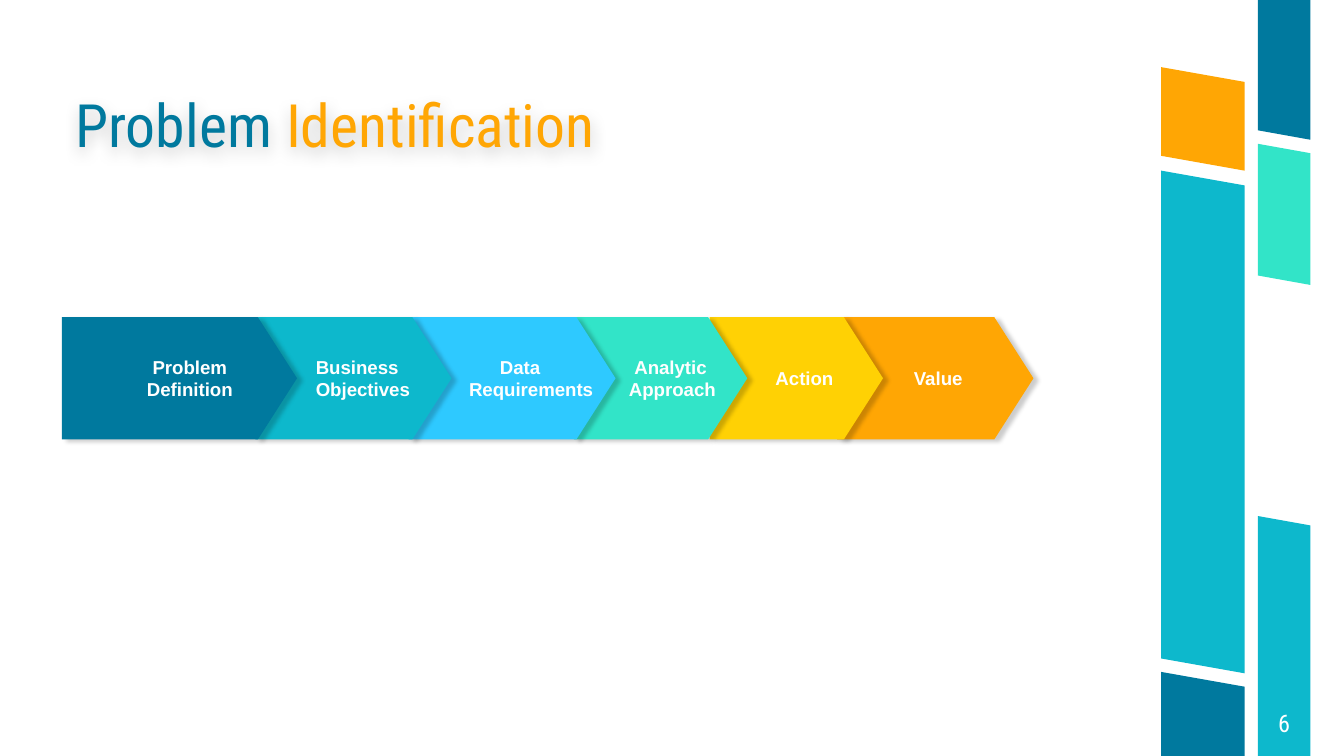
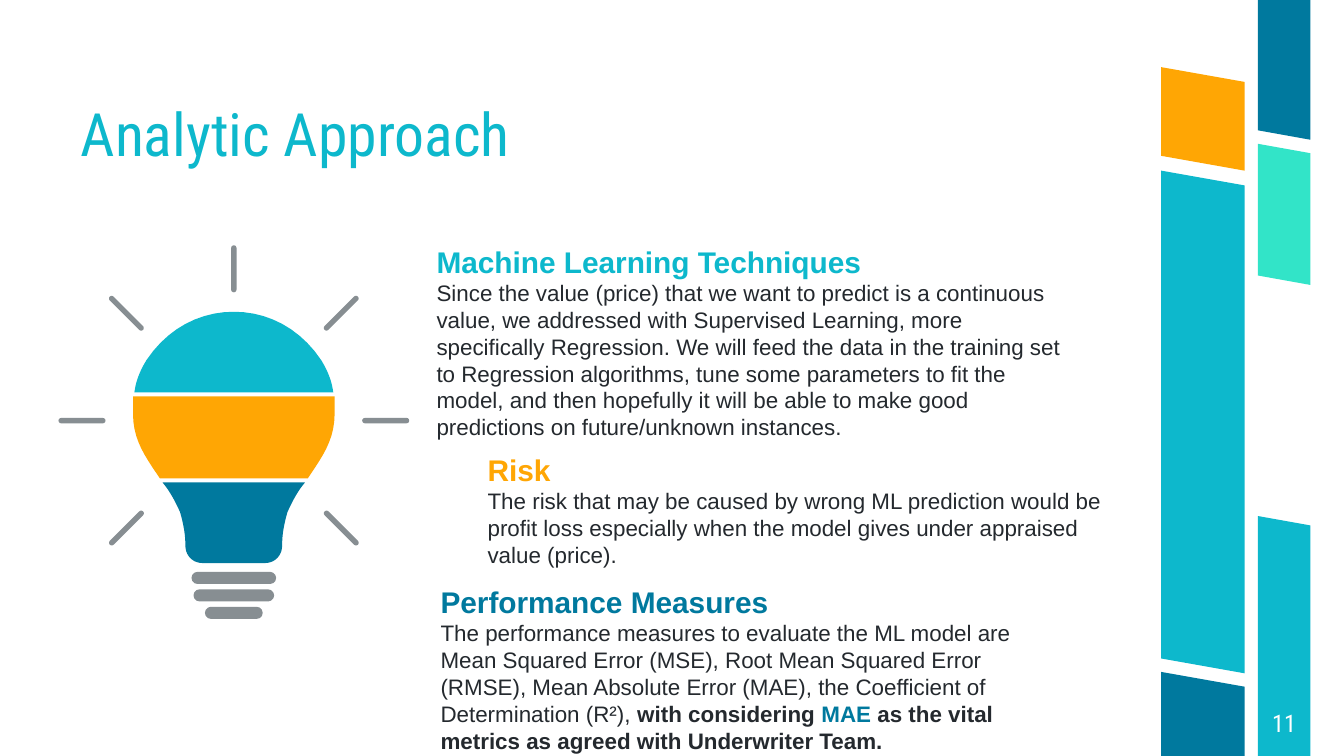
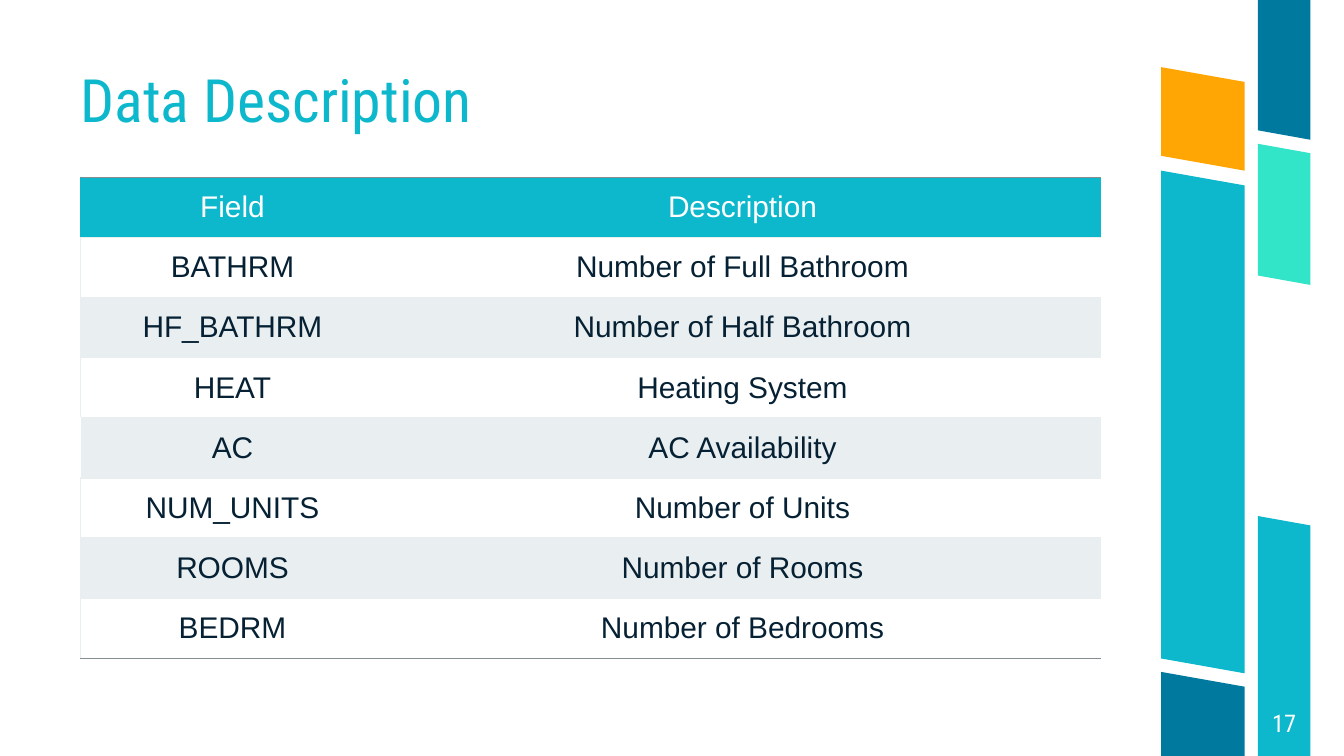
"""Builds three slides on problem identification, analytic approach and data description."""
import math

import pptx
import pptx.dml.color
import pptx.enum.shapes
import pptx.enum.text
import pptx.oxml
import pptx.oxml.ns
import pptx.util

Inches = pptx.util.Inches
Pt = pptx.util.Pt
RGBColor = pptx.dml.color.RGBColor
Preset = pptx.enum.shapes.MSO_SHAPE
Align = pptx.enum.text.PP_ALIGN
Anchor = pptx.enum.text.MSO_ANCHOR
AutoSize = pptx.enum.text.MSO_AUTO_SIZE

BLUE = RGBColor(0x00, 0x79, 0x9E)
TEAL = RGBColor(0x0D, 0xB8, 0xCC)
SKY = RGBColor(0x2E, 0xC9, 0xFF)
MINT = RGBColor(0x32, 0xE4, 0xC8)
YELLOW = RGBColor(0xFF, 0xD1, 0x04)
ORANGE = RGBColor(0xFF, 0xA6, 0x04)
GREY = RGBColor(0x87, 0x8E, 0x92)
PALE = RGBColor(0xE9, 0xEE, 0xF0)
INK = RGBColor(0x24, 0x29, 0x2E)
NAVY = RGBColor(0x06, 0x21, 0x33)
WHITE = RGBColor(0xFF, 0xFF, 0xFF)

BODY_FONT = "Arial"
TITLE_FONT = "Roboto Condensed"
SLIDE_WIDTH = 10
SLIDE_HEIGHT = SLIDE_WIDTH * 9 / 16
TITLE_ONLY = 5
PLAIN_TABLE = "{2D5ABB26-0587-4C30-8999-92F81FD0307C}"

BAND_COLUMNS = [
    (9.36, 0.39, 0.07, [(0, 0.97, BLUE), (1.07, 2.05, MINT), (3.84, SLIDE_HEIGHT, TEAL)]),
    (8.64, 0.62, 0.11, [(0.5, 1.16, ORANGE), (1.27, 4.9, TEAL), (5, SLIDE_HEIGHT, BLUE)]),
]

STEPS = [
    (0.0, 1.75, BLUE, ["Problem", "Definition"], None),
    (1.44, 1.46, TEAL, ["Business", "Objectives"], (0.15, 0.15)),
    (2.58, 1.54, SKY, ["Data", "Requirements"], (0.38, 0.15)),
    (3.81, 1.29, MINT, ["Analytic", "Approach"], (0.15, 0.11)),
    (4.82, 1.29, YELLOW, ["Action"], (0.19, 0.19)),
    (5.77, 1.46, ORANGE, ["Value"], (0.27, 0.27)),
]

BULB_HALVES = [
    (TEAL, [(0, -0.81), (0.25, -0.81), (0.49, -0.69), (0.65, -0.45),
            (0.7, -0.37), (0.73, -0.29), (0.74, -0.21)]),
    (ORANGE, [(0.75, -0.18), (0.75, -0.14), (0.75, -0.1), (0.75, -0.05),
              (0.75, 0.15), (0.65, 0.28), (0.55, 0.43)]),
    (BLUE, [(0.53, 0.46), (0.48, 0.52), (0.44, 0.59), (0.4, 0.68),
            (0.38, 0.75), (0.36, 0.83), (0.36, 0.93),
            (0.36, 1.0), (0.31, 1.06), (0.23, 1.06)]),
]

TOPICS = [
    ((3.15, 1.71, 4.87, 1.48), "Machine Learning Techniques", TEAL, [
        ("Since the value (price) that we want to predict is a continuous value, we addressed "
         "with Supervised Learning, more specifically Regression. We will feed the data in the "
         "training set to Regression algorithms, tune some parameters to fit the model, and then "
         "hopefully it will be able to make good predictions on future/unknown instances.",
         INK, False)]),
    ((3.53, 3.26, 4.8, 0.88), "Risk", ORANGE, [
        ("The risk that may be caused by wrong ML prediction would be profit loss especially "
         "when the model gives under appraised value (price).", INK, False)]),
    ((3.18, 4.24, 4.8, 1.28), "Performance Measures", BLUE, [
        ("The performance measures to evaluate the ML model are Mean Squared Error (MSE), Root "
         "Mean Squared Error (RMSE), Mean Absolute Error (MAE), the Coefficient of "
         "Determination (R²), ", INK, False),
        ("with considering ", INK, True),
        ("MAE", BLUE, True),
        (" as the vital metrics as agreed with Underwriter Team.", INK, True)]),
]

FIELDS = [
    ("Field", "Description"),
    ("BATHRM", "Number of Full Bathroom"),
    ("HF_BATHRM", "Number of Half Bathroom"),
    ("HEAT", "Heating System"),
    ("AC", "AC Availability"),
    ("NUM_UNITS", "Number of Units"),
    ("ROOMS", "Number of Rooms"),
    ("BEDRM", "Number of Bedrooms"),
]


def add_run(paragraph, text, size, color, bold=False, font=BODY_FONT):
    """Add one formatted run."""
    run = paragraph.add_run()
    run.text = text
    run.font.name = font
    run.font.size = Pt(size)
    run.font.bold = bold
    run.font.color.rgb = color


def set_frame(text_frame, anchor, left=0, top=0, right=0, bottom=0):
    """Set wrapping, anchor and insets of a text frame."""
    text_frame.word_wrap = True
    text_frame.auto_size = AutoSize.NONE
    text_frame.vertical_anchor = anchor
    text_frame.margin_left, text_frame.margin_right = Inches(left), Inches(right)
    text_frame.margin_top, text_frame.margin_bottom = Inches(top), Inches(bottom)


def paint(shape, color):
    """Give a shape a plain fill with neither line nor shadow."""
    shape.shadow.inherit = False
    shape.fill.solid()
    shape.fill.fore_color.rgb = color
    shape.line.fill.background()
    return shape


def add_shadow(shape, blur, distance, angle):
    """Give a shape a soft black shadow."""
    shape.shadow.inherit = False
    effects = shape.element.spPr.find(pptx.oxml.ns.qn("a:effectLst"))
    effects.append(pptx.oxml.parse_xml(
        f'<a:outerShdw {pptx.oxml.ns.nsdecls("a")} blurRad="{Pt(blur)}" dist="{Pt(distance)}" '
        f'dir="{angle * 60000}" algn="bl" rotWithShape="0">'
        '<a:srgbClr val="000000"><a:alpha val="20000"/></a:srgbClr></a:outerShdw>'))


def add_outline(shapes, points, color):
    """Add a closed outline through points given in inches."""
    corners = [(Inches(x), Inches(y)) for x, y in points]
    builder = shapes.build_freeform(*corners[0])
    builder.add_line_segments(corners[1:], close=True)
    return paint(builder.convert_to_shape(), color)


def add_bands(slide):
    """Draw the slanted bands and hand them to the slide's layout."""
    for left, width, drop, bands in BAND_COLUMNS:
        right = left + width
        for top, bottom, color in bands:
            right_top = top + drop if top else top
            right_bottom = min(bottom + drop, SLIDE_HEIGHT)
            corners = [(left, top), (right, right_top), (right, right_bottom), (left, bottom)]
            band = add_outline(slide.shapes, corners, color)
            slide.slide_layout.shapes.element.append(band.element)


def add_slide(presentation, number, title_box, title_runs):
    """Add a slide with its title and page number."""
    slide = presentation.slides.add_slide(presentation.slide_layouts[TITLE_ONLY])
    title = slide.shapes.title
    title.left, title.top, title.width, title.height = map(Inches, title_box)
    set_frame(title.text_frame, Anchor.BOTTOM)
    paragraph = title.text_frame.paragraphs[0]
    paragraph.alignment = Align.LEFT
    paragraph.line_spacing = 0.9
    for text, color in title_runs:
        add_run(paragraph, text, 32, color, font=TITLE_FONT)

    page = slide.shapes.add_textbox(Inches(9.36), Inches(5.13), Inches(0.39), Inches(0.5))
    set_frame(page.text_frame, Anchor.MIDDLE)
    paragraph = page.text_frame.paragraphs[0]
    paragraph.alignment = Align.CENTER
    add_run(paragraph, str(number), 13, WHITE, font=TITLE_FONT)
    return slide


def add_steps(slide, left, top, height):
    """Draw the chain of arrows, each one over the next."""
    for offset, width, color, lines, indents in reversed(STEPS):
        step = slide.shapes.add_shape(Preset.PENTAGON, Inches(left + offset), Inches(top),
                                      Inches(width), Inches(height))
        step.adjustments[0] = 0.32
        paint(step, color)
        add_shadow(step, 2.2, 3, 26)
        set_frame(step.text_frame, Anchor.MIDDLE, left=0.3)
        paragraph = step.text_frame.paragraphs[0]
        paragraph.alignment = Align.LEFT if indents else Align.CENTER
        if indents:
            first, rest = indents
            properties = paragraph._p.get_or_add_pPr()
            properties.set("marL", str(Inches(rest)))
            properties.set("indent", str(Inches(first - rest)))
        for index, line in enumerate(lines):
            if index:
                paragraph.add_line_break()
            add_run(paragraph, line, 10, WHITE, bold=True)


def curve_points(knots, steps=10):
    """Return points along a chain of cubic curves."""
    points = [knots[0]]
    for start in range(0, len(knots) - 1, 3):
        for step in range(1, steps + 1):
            t = step / steps
            weights = [(1 - t) ** 3, 3 * t * (1 - t) ** 2, 3 * t * t * (1 - t), t ** 3]
            controls = knots[start:start + 4]
            points.append(tuple(sum(weight * knot[axis] for weight, knot in zip(weights, controls))
                                for axis in (0, 1)))
    return points


def add_pill(shapes, center_x, center_y, length, thickness, angle=0):
    """Add a grey bar with round ends about its centre."""
    pill = shapes.add_shape(Preset.ROUNDED_RECTANGLE, Inches(center_x - length / 2),
                            Inches(center_y - thickness / 2), Inches(length), Inches(thickness))
    pill.adjustments[0] = 0.5
    pill.rotation = angle % 360
    paint(pill, GREY)


def add_bulb(slide, left, top):
    """Draw the light bulb with its rays and screw base."""
    shapes = slide.shapes.add_group_shape().shapes
    center_x, center_y = left + 1.31, top + 1.31
    for color, knots in BULB_HALVES:
        half = curve_points(knots)
        offsets = half + [(-x, y) for x, y in reversed(half)]
        add_outline(shapes, [(center_x + x, center_y + y) for x, y in offsets], color)
    for angle in range(135, 406, 45):
        direction = math.radians(angle)
        add_pill(shapes, center_x + 1.13 * math.cos(direction),
                 center_y + 1.13 * math.sin(direction), 0.35, 0.04, angle)
    for index, length in enumerate([0.63, 0.6, 0.43]):
        add_pill(shapes, center_x, center_y + 1.17 + 0.13 * index, length, 0.09)


def add_topic(slide, box, heading, color, runs):
    """Add a coloured heading with its text below."""
    topic = slide.shapes.add_textbox(*map(Inches, box))
    text_frame = topic.text_frame
    set_frame(text_frame, Anchor.TOP, 0.1, 0.1, 0.1, 0.1)
    text_frame.auto_size = AutoSize.SHAPE_TO_FIT_TEXT
    add_run(text_frame.paragraphs[0], heading, 16, color, bold=True)
    paragraph = text_frame.add_paragraph()
    for text, run_color, bold in runs:
        add_run(paragraph, text, 12, run_color, bold)


def add_border(cell, side, color):
    """Add a thin line on one side of a cell."""
    cell._tc.get_or_add_tcPr().append(pptx.oxml.parse_xml(
        f'<a:ln{side} {pptx.oxml.ns.nsdecls("a")} w="{Pt(0.75)}"><a:solidFill>'
        f'<a:srgbClr val="{color}"/></a:solidFill></a:ln{side}>'))


def format_cell(cell, text, row, column):
    """Fill in one cell according to its row and column."""
    last = len(FIELDS) - 1
    if column == 0:
        left_color = TEAL if row == 0 else WHITE if text == "AC" else PALE
        add_border(cell, "L", left_color)
    add_border(cell, "T", GREY if row == 0 else PALE)
    add_border(cell, "B", GREY if row == last else PALE)
    if row % 2:
        cell.fill.background()
    else:
        cell.fill.solid()
        cell.fill.fore_color.rgb = PALE if row else TEAL
    cell.vertical_anchor = Anchor.MIDDLE
    cell.margin_left = cell.margin_right = Inches(0.1)
    cell.margin_top = cell.margin_bottom = Inches(0.1)
    paragraph = cell.text_frame.paragraphs[0]
    paragraph.alignment = Align.CENTER
    add_run(paragraph, text, 16, NAVY if row else WHITE)


def add_field_table(slide, left, top):
    """Add the table of fields and their descriptions."""
    widths = [2.26, 5.33]
    heights = [0.33] + [0.42] * (len(FIELDS) - 1)
    frame = slide.shapes.add_table(len(FIELDS), len(widths), Inches(left), Inches(top),
                                   Inches(sum(widths)), Inches(sum(heights)))
    table = frame.table
    table.first_row = table.horz_banding = False
    next(frame.element.iter(pptx.oxml.ns.qn("a:tableStyleId"))).text = PLAIN_TABLE
    for column, width in enumerate(widths):
        table.columns[column].width = Inches(width)
    for row, texts in enumerate(FIELDS):
        table.rows[row].height = Inches(heights[row])
        for column, text in enumerate(texts):
            format_cell(table.cell(row, column), text, row, column)


def build_problem_slide(presentation):
    """Build the slide with the chain of steps."""
    slide = add_slide(presentation, 6, (0.46, 0.42, 6.39, 0.74),
                      [("Problem ", BLUE), ("Identification", ORANGE)])
    title = slide.shapes.title
    set_frame(title.text_frame, Anchor.TOP, 0.1, 0.23, 0.1, 0)
    title.text_frame.paragraphs[0].line_spacing = 1.0
    add_shadow(title, 8, 3, 90)
    add_bands(slide)
    add_steps(slide, 0.46, 2.36, 0.91)


def build_approach_slide(presentation):
    """Build the slide with the light bulb and three topics."""
    slide = add_slide(presentation, 11, (0.6, 0.83, 6.68, 0.43), [("Analytic Approach", TEAL)])
    add_bulb(slide, 0.43, 1.82)
    for topic in TOPICS:
        add_topic(slide, *topic)


def build_data_slide(presentation):
    """Build the slide with the table of fields."""
    slide = add_slide(presentation, 17, (0.6, 0.58, 6.68, 0.43), [("Data Description", TEAL)])
    add_field_table(slide, 0.6, 1.32)


def main():
    """Build and save the presentation."""
    presentation = pptx.Presentation()
    presentation.slide_width = Inches(SLIDE_WIDTH)
    presentation.slide_height = Inches(SLIDE_HEIGHT)
    build_problem_slide(presentation)
    build_approach_slide(presentation)
    build_data_slide(presentation)
    presentation.save("out.pptx")


if __name__ == "__main__":
    main()
